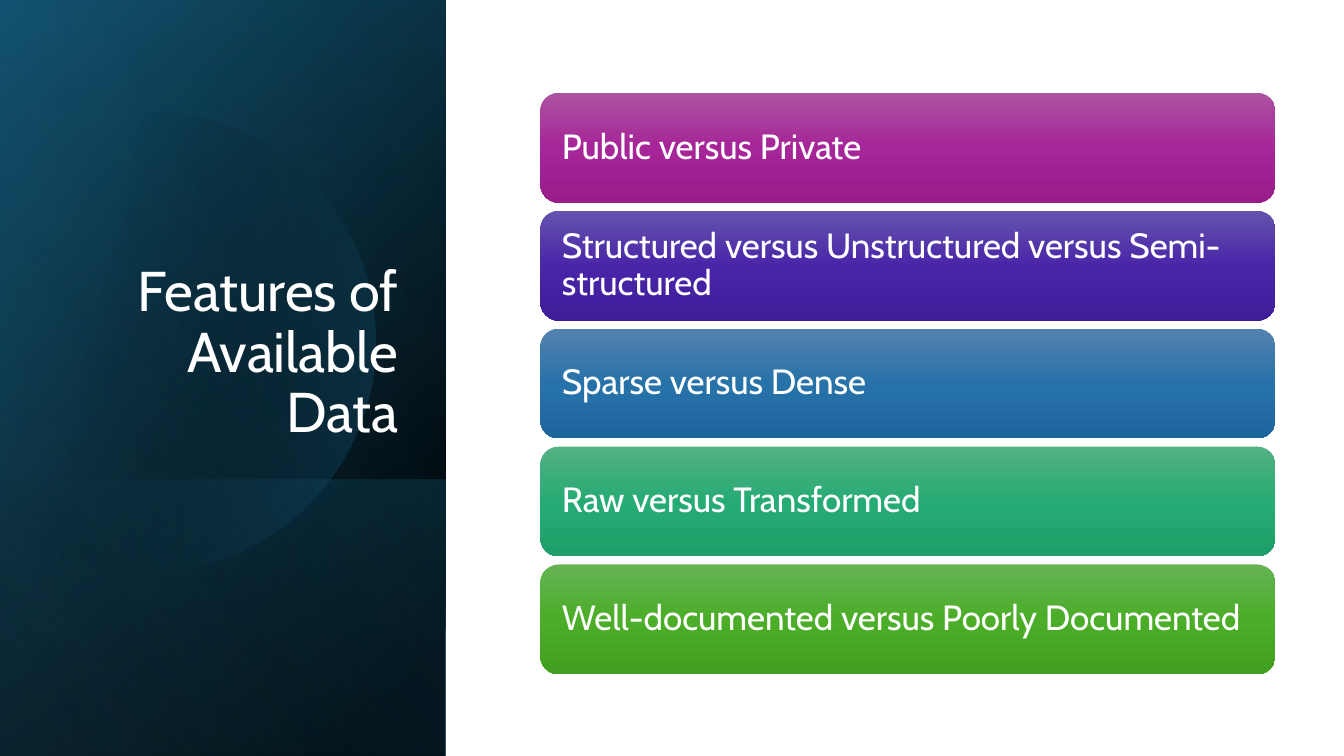
import math
from pptx import Presentation
from pptx.dml.color import RGBColor
from pptx.enum.shapes import MSO_SHAPE
from pptx.enum.text import MSO_ANCHOR, PP_ALIGN
from pptx.oxml import parse_xml
from pptx.oxml.ns import nsdecls
from pptx.util import Inches, Pt

RECT, ROUND = MSO_SHAPE.RECTANGLE, MSO_SHAPE.ROUNDED_RECTANGLE
LEFT, RIGHT = PP_ALIGN.LEFT, PP_ALIGN.RIGHT
MIDDLE, BOTTOM = MSO_ANCHOR.MIDDLE, MSO_ANCHOR.BOTTOM

SLIDE_W, SLIDE_H = 13.33, 7.5
PANEL_W = 4.42
BAR_LEFT, BAR_TOP, BAR_W, BAR_H, BAR_PITCH = 5.36, 0.92, 7.29, 1.09, 1.17
FONT = "Cabin"
COLORS = {"white": "FFFFFF", "black": "000000", "navy": "104862",
          "teal": "156082", "sky": "46B1E1"}

# Panel layers: top, angle, stops of (position, colour, opacity)
PANEL_LAYERS = [
    (0, 50, [(8, "black", 100), (100, "navy", 100)]),
    (0, 30, [(0, "black", 0), (99, "teal", 46)]),
    (4.76, 130, [(2, "teal", 29), (100, "black", 30)]),
]
DISC_STOPS = [(29, "black", 0), (100, "teal", 43)]
GLOW_LAYER = (0, 120, [(0, "black", 0), (99, "sky", 11)])

# Bars: wording, then top, middle and bottom colour
FEATURES = [
    ("Public versus Private", "AC53A0", "A62598", "991C8B"),
    ("Structured versus Unstructured versus Semi-structured",
     "6553AE", "4926A8", "3E1C9A"),
    ("Sparse versus Dense", "5382AF", "2772A9", "1D669C"),
    ("Raw versus Transformed", "54B183", "27AB74", "1E9E68"),
    ("Well-documented versus Poorly Documented", "66B354", "4BAD28", "409F1E"),
]


def paint_gradient(sp, angle, stops):
    """Fill with a linear gradient; the angle runs clockwise in degrees."""
    sp.shadow.inherit = False
    sp.line.fill.background()
    sp.fill.background()
    gs = "".join(
        f'<a:gs pos="{pos * 1000}"><a:srgbClr val="{COLORS.get(color, color)}">'
        f'<a:alpha val="{opacity * 1000}"/></a:srgbClr></a:gs>'
        for pos, color, opacity in stops)
    grad = parse_xml(
        f'<a:gradFill {nsdecls("a")} rotWithShape="1"><a:gsLst>{gs}</a:gsLst>'
        f'<a:lin ang="{angle * 60000}" scaled="0"/></a:gradFill>')
    sp_pr = sp._element.spPr
    sp_pr.replace(sp_pr.find("{*}noFill"), grad)


def add_panel_layer(slide, top, angle, stops):
    """A mirrored rectangle, turned a quarter, from top to the slide's foot."""
    h = SLIDE_H - top
    left, y = (PANEL_W - h) / 2, top + (h - PANEL_W) / 2
    sp = slide.shapes.add_shape(
        RECT, Inches(left), Inches(y), Inches(h), Inches(PANEL_W))
    sp.rotation = 90
    sp._element.spPr.find("{*}xfrm").set("flipH", "1")
    paint_gradient(sp, angle, stops)


def add_disc(slide, cx, cy, radius):
    """A disc cut off by the slide's left edge."""
    limit, steps = math.acos(-cx / radius), 120
    points = []
    for i in range(steps + 1):
        a = limit * (2 * i / steps - 1)
        points.append((Inches(cx + radius * math.cos(a)),
                       Inches(cy + radius * math.sin(a))))
    builder = slide.shapes.build_freeform(*points[0])
    builder.add_line_segments(points[1:], close=True)
    paint_gradient(builder.convert_to_shape(), 14, DISC_STOPS)


def write_text(sp, text, size, align, anchor, inset):
    tf = sp.text_frame
    frame = {"word_wrap": True, "vertical_anchor": anchor,
             "margin_left": Inches(inset), "margin_right": Inches(inset)}
    for name, value in frame.items():
        setattr(tf, name, value)
    p = tf.paragraphs[0]
    p.alignment, p.line_spacing = align, 0.9
    r = p.add_run()
    r.text = text
    for name, value in {"name": FONT, "size": Pt(size)}.items():
        setattr(r.font, name, value)
    r.font.color.rgb = RGBColor.from_string(COLORS["white"])


def add_title(slide, text):
    sp = slide.shapes.add_textbox(
        Inches(0.64), Inches(1.84), Inches(3.41), Inches(2.62))
    write_text(sp, text, 40, RIGHT, BOTTOM, 0.1)


def add_bar(slide, row, text, colors):
    sp = slide.shapes.add_shape(
        ROUND, Inches(BAR_LEFT), Inches(BAR_TOP + row * BAR_PITCH),
        Inches(BAR_W), Inches(BAR_H))
    paint_gradient(sp, 90, [(50 * i, c, 100) for i, c in enumerate(colors)])
    write_text(sp, text, 25, LEFT, MIDDLE, 0.16)


def main():
    prs = Presentation()
    prs.slide_width, prs.slide_height = Inches(SLIDE_W), Inches(SLIDE_H)
    slide = prs.slides.add_slide(prs.slide_layouts[6])

    # Dark panel with its title
    for layer in PANEL_LAYERS:
        add_panel_layer(slide, *layer)
    add_disc(slide, 1.43, 3.39, 2.29)
    add_panel_layer(slide, *GLOW_LAYER)
    add_title(slide, "Features of Available Data")

    # Stack of feature bars
    for row, (text, *colors) in enumerate(FEATURES):
        add_bar(slide, row, text, colors)

    prs.save("out.pptx")


if __name__ == "__main__":
    main()
